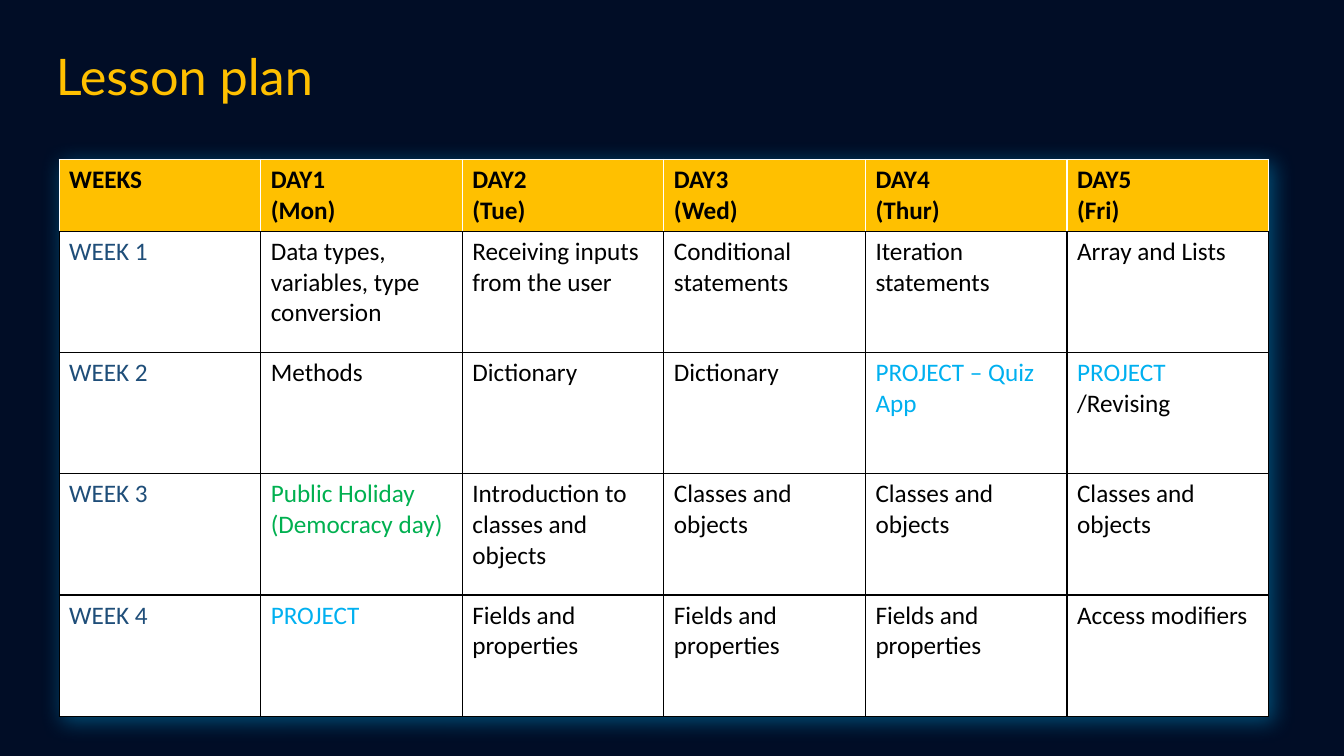
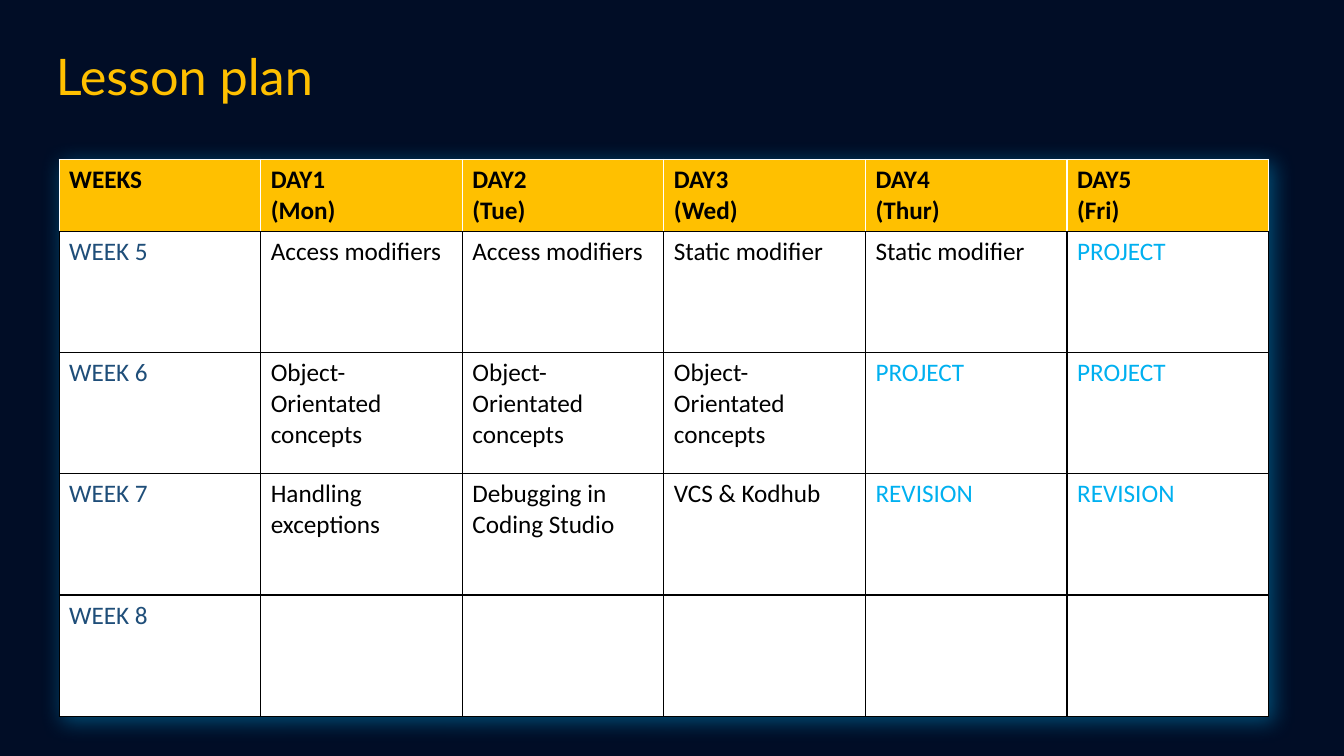
from dataclasses import dataclass

from lxml.etree import SubElement
from pptx import Presentation
from pptx.dml.color import RGBColor as Rgb
from pptx.enum.text import MSO_ANCHOR as Anchor, MSO_AUTO_SIZE as Fit, PP_ALIGN as Align
from pptx.oxml import parse_xml
from pptx.oxml.ns import nsdecls, qn
from pptx.util import Inches, Pt


@dataclass(frozen=True)
class Theme:
    """Colours, fonts and type sizes of the deck."""
    night: str = "010D26"
    gold: str = "FFC000"
    white: str = "FFFFFF"
    black: str = "000000"
    navy: str = "1F4E79"
    sky: str = "00B0F0"
    green: str = "00B050"
    head: str = "Lato"
    body: str = "Calibri"
    big: int = 36
    text: int = 18
    line: int = 1


THEME = Theme()
TINTS = {"WEEK ": THEME.navy, "PROJECT": THEME.sky, "REVISION": THEME.sky,
         "Public Holiday": THEME.green}
DAYS = ["WEEKS", "DAY1\n(Mon)", "DAY2\n(Tue)", "DAY3\n(Wed)", "DAY4\n(Thur)", "DAY5\n(Fri)"]


def tint(text):
    """Pick the colour of a line from how it starts."""
    return next((hue for key, hue in TINTS.items() if text.startswith(key)), THEME.black)


class Deck:
    """Holds the style and the current slide."""

    def __init__(self, theme):
        """Set the slide size and the shared background."""
        self.theme = theme
        self.prs = Presentation()
        self.prs.slide_width, self.prs.slide_height = Inches(13.33), Inches(7.5)
        self.fill(self.prs.slide_master.background, theme.night)
        self.slide = None

    def wide(self, share):
        """Turn percent of the slide width into a length."""
        return round(self.prs.slide_width * share / 100)

    def tall(self, share):
        """Turn percent of the slide height into a length."""
        return round(self.prs.slide_height * share / 100)

    def fill(self, item, hue):
        """Give an item a solid fill."""
        item.fill.solid()
        item.fill.fore_color.rgb = Rgb.from_string(hue)

    def run(self, para, text, font, size, hue, bold=False):
        """Add one formatted run to a paragraph."""
        run = para.add_run()
        run.text = text
        run.font.name, run.font.size, run.font.bold = font, Pt(size), bold
        run.font.color.rgb = Rgb.from_string(hue)

    def title(self, text):
        """Start a slide and fill its title."""
        self.slide = self.prs.slides.add_slide(self.prs.slide_layouts[5])
        box = self.slide.shapes.title
        box.left, box.top = self.wide(3.4), self.tall(0.8)
        box.width, box.height = self.wide(92.95), self.tall(19.33)
        frame = box.text_frame
        frame.auto_size, frame.vertical_anchor = Fit.NONE, Anchor.MIDDLE
        para = frame.paragraphs[0]
        para.alignment, para.line_spacing = Align.LEFT, 0.9
        self.run(para, text, self.theme.head, self.theme.big, self.theme.gold)

    def edge(self, cell, hues):
        """Draw the left, right, top and bottom cell borders."""
        props = cell._tc.get_or_add_tcPr()
        for tag, hue in zip(("lnL", "lnR", "lnT", "lnB"), hues):
            line = SubElement(props, qn("a:" + tag), w=str(Pt(self.theme.line)))
            solid = SubElement(line, qn("a:solidFill"))
            SubElement(solid, qn("a:srgbClr"), val=hue)

    def cell(self, cell, text, top):
        """Write and paint one table cell."""
        look = self.theme
        side = look.white if top else look.black
        self.edge(cell, (side, side, side, look.black))
        self.fill(cell, look.gold if top else look.white)
        frame = cell.text_frame
        for i, part in enumerate(text.split("\n") if text else []):
            para = frame.add_paragraph() if i else frame.paragraphs[0]
            hue = look.black if top else tint(part)
            self.run(para, part, look.body, look.text, hue, top)

    def glow(self, table):
        """Put a soft blue shadow behind a table."""
        table._tbl.tblPr.insert(0, parse_xml(
            f'<a:effectLst {nsdecls("a")}><a:outerShdw blurRad="{Pt(15)}" dist="{Pt(4)}" '
            f'dir="2700000" algn="tl" rotWithShape="0"><a:srgbClr val="{self.theme.sky}">'
            '<a:alpha val="40000"/></a:srgbClr></a:outerShdw></a:effectLst>'))

    def plan(self, first, weeks):
        """Add the table of days, numbering the weeks from first."""
        rows = [DAYS] + [[f"WEEK {n}"] + week for n, week in enumerate(weeks, first)]
        tops = [9.5] + [16.04] * len(weeks)
        table = self.slide.shapes.add_table(
            len(rows), len(DAYS), self.wide(4.4), self.tall(21.1),
            self.wide(90), self.tall(sum(tops))).table
        table.horz_banding = False
        self.glow(table)
        for r, row in enumerate(rows):
            table.rows[r].height = self.tall(tops[r])
            for c, text in enumerate(row):
                self.cell(table.cell(r, c), text, r == 0)


PLANS = {
    1: [
        ["Data types, variables, type conversion", "Receiving inputs from the user",
         "Conditional statements", "Iteration statements", "Array and Lists"],
        ["Methods", "Dictionary", "Dictionary", "PROJECT – Quiz App", "PROJECT\n/Revising"],
        ["Public Holiday (Democracy day)", "Introduction to classes and objects"]
        + ["Classes and objects"] * 3,
        ["PROJECT"] + ["Fields and properties"] * 3 + ["Access modifiers"],
    ],
    5: [
        ["Access modifiers"] * 2 + ["Static modifier"] * 2 + ["PROJECT"],
        ["Object-Orientated concepts"] * 3 + ["PROJECT"] * 2,
        ["Handling exceptions", "Debugging in Coding Studio", "VCS & Kodhub"]
        + ["REVISION"] * 2,
        [""] * 5,
    ],
}

deck = Deck(THEME)
for first, weeks in PLANS.items():
    deck.title("Lesson plan")
    deck.plan(first, weeks)
deck.prs.save("out.pptx")
